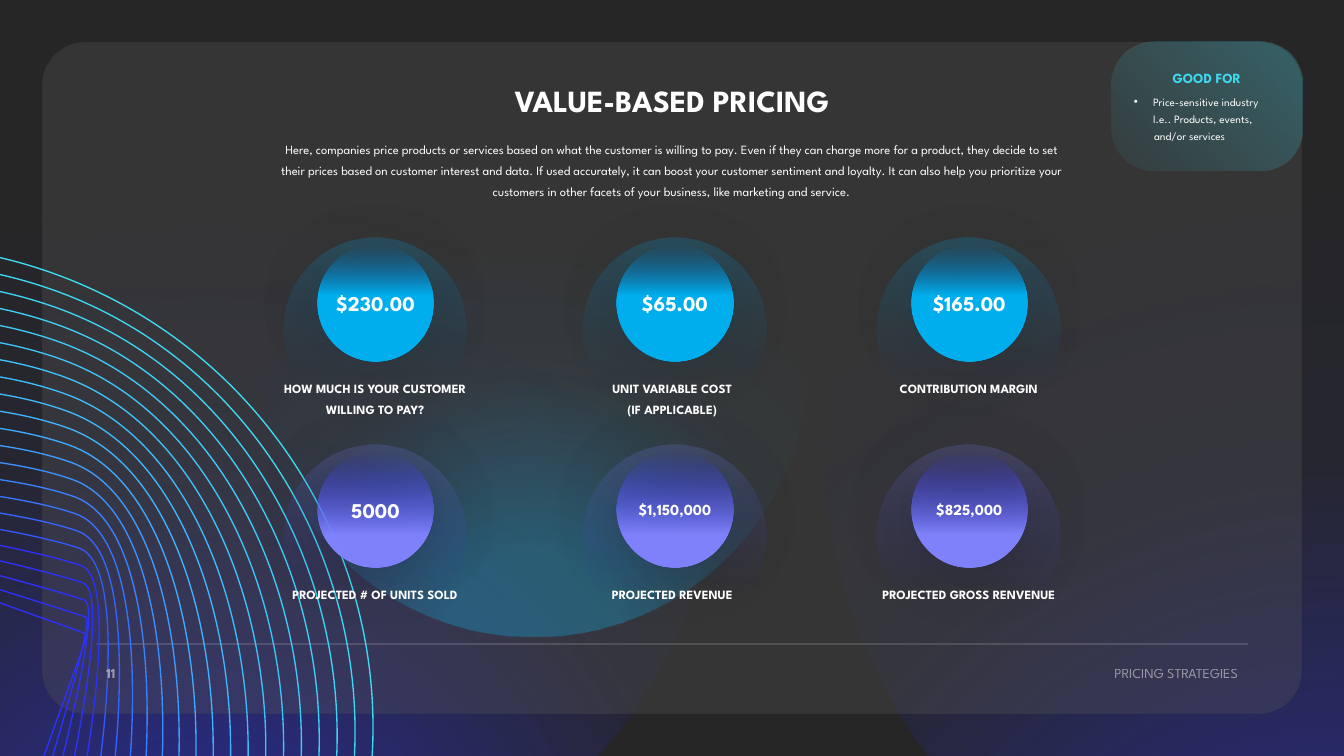
from lxml import etree
from pptx import Presentation
from pptx.dml.color import RGBColor
from pptx.enum.shapes import MSO_CONNECTOR, MSO_SHAPE
from pptx.enum.text import MSO_ANCHOR, MSO_AUTO_SIZE, PP_ALIGN
from pptx.oxml.ns import qn
from pptx.util import Pt

OVAL, ROUNDED = MSO_SHAPE.OVAL, MSO_SHAPE.ROUNDED_RECTANGLE
STRAIGHT = MSO_CONNECTOR.STRAIGHT
MIDDLE, TOP, GROW = MSO_ANCHOR.MIDDLE, MSO_ANCHOR.TOP, MSO_AUTO_SIZE.SHAPE_TO_FIT_TEXT
LEFT, CENTER, RIGHT = PP_ALIGN.LEFT, PP_ALIGN.CENTER, PP_ALIGN.RIGHT


class Theme:
    font = "League Spartan"
    back, panel, white, black = "262626", "595959", "FFFFFF", "000000"
    sky, ocean, violet, indigo, aqua = "00B0F0", "0070C0", "8183FC", "2D31FA", "3EDBF0"
    rings = [indigo] * 5 + (
        "3359FC 3565FC 3774FD 3981FD 3B90FE 3D9CFE 3FAAFF 40B3FE 40B7FD 3FBBFB "
        "3FC1F9 3FC4F8 3FC9F6 3FCEF5 3ED2F3 3ED7F1").split() + [aqua]
    title, value, long_value, label, body, note = 22, 15, 11, 10, 9, 8


def add_node(parent, tag, **attributes):
    return etree.SubElement(parent, qn(tag), {key: str(val) for key, val in attributes.items()})


def percent(number):
    return round(number * 1000)


def fade(element, opacity):
    """Make the first colour inside the element translucent."""
    if opacity < 100:
        add_node(element.find(".//" + qn("a:srgbClr")), "a:alpha", val=percent(opacity))


def turn(point):
    x, y = point
    return -y, x


class SlideBuilder:
    def __init__(self, page, theme):
        self.page, self.theme = page, theme
        page.background.fill.solid()
        page.background.fill.fore_color.rgb = RGBColor.from_string(theme.back)

    def shape(self, kind, left, top, width, height):
        shape = self.page.shapes.add_shape(kind, Pt(left), Pt(top), Pt(width), Pt(height))
        shape.shadow.inherit = False
        shape.line.fill.background()
        return shape

    def gradient(self, shape, stops, angle=None, focus=None):
        """Fill with (position, colour, opacity) stops, linear by angle or radial by focus."""
        shape.fill.background()
        blank = shape._element.spPr.find(qn("a:noFill"))
        fill = etree.Element(qn("a:gradFill"), rotWithShape="1")
        blank.getparent().replace(blank, fill)
        stop_list = add_node(fill, "a:gsLst")
        for position, color, opacity in stops:
            stop = add_node(stop_list, "a:gs", pos=percent(position))
            add_node(stop, "a:srgbClr", val=color)
            fade(stop, opacity)
        if focus is None:
            add_node(fill, "a:lin", ang=angle * 60000, scaled=1)
        else:
            radial = add_node(fill, "a:path", path="circle")
            add_node(radial, "a:fillToRect",
                     **{side: percent(share) for side, share in zip("ltrb", focus)})

    def glow(self, left, top, size, color, rotation=0):
        shape = self.shape(OVAL, left, top, size, size)
        shape.rotation = rotation
        self.gradient(shape, [(23, color, 40), (68, color, 5), (100, color, 0)],
                      focus=(50, 130, 50, -30))

    def shadow(self, shape, opacity):
        effects = shape._element.spPr.find(qn("a:effectLst"))
        outer = add_node(effects, "a:outerShdw", blurRad=Pt(50), dist=0, dir=0,
                         algn="ctr", rotWithShape=0)
        add_node(outer, "a:srgbClr", val=self.theme.black)
        fade(outer, opacity)

    def panel(self, left, top, width, height):
        shape = self.shape(ROUNDED, left, top, width, height)
        shape.adjustments[0] = 0.064
        shape.fill.solid()
        shape.fill.fore_color.rgb = RGBColor.from_string(self.theme.panel)
        fade(shape._element.spPr.find(qn("a:solidFill")), 30)
        shape.line.color.rgb = RGBColor.from_string(self.theme.back)
        shape.line.width = Pt(1)
        fade(shape._element.spPr.find(qn("a:ln")), 10)

    def rule(self, left, right, y):
        line = self.page.shapes.add_connector(STRAIGHT, Pt(left), Pt(y), Pt(right), Pt(y))
        line.line.color.rgb = RGBColor.from_string(self.theme.white)
        line.line.width = Pt(0.5)
        fade(line._element.spPr.find(qn("a:ln")), 40)
        add_node(line._element.spPr, "a:effectLst")

    def ring(self, center, start, bend_out, bend_in, color):
        """Draw a closed outline from one Bezier quarter turned four times about the center."""
        points, quarter = [start], [bend_out, bend_in, turn(start)]
        for _ in range(4):
            points += quarter
            quarter = [turn(point) for point in quarter]
        places = [(Pt(center[0] + x), Pt(center[1] + y)) for x, y in points]
        builder = self.page.shapes.build_freeform(*places[0])
        builder.add_line_segments(places[1:], close=True)
        shape = builder.convert_to_shape()
        lines = list(shape._element.iter(qn("a:lnTo")))
        for first in range(0, len(lines), 3):
            curve = etree.Element(qn("a:cubicBezTo"))
            lines[first].addprevious(curve)
            for line in lines[first:first + 3]:
                curve.append(line[0])
                line.getparent().remove(line)
        shape.shadow.inherit = False
        shape.fill.background()
        shape.line.color.rgb = RGBColor.from_string(color)
        shape.line.width = Pt(0.95)

    def style(self, para, size, color=None, bold=False, align=LEFT, leading=None, opacity=100):
        para.alignment = align
        if leading:
            para.line_spacing = Pt(leading)
        for span in para.runs:
            span.font.name, span.font.size, span.font.bold = self.theme.font, Pt(size), bold
            span.font.color.rgb = RGBColor.from_string(color or self.theme.white)
            fade(span._r, opacity)

    def text(self, text, left, top, width, height, size, wrap=True, anchor=TOP, **style):
        box = self.page.shapes.add_textbox(Pt(left), Pt(top), Pt(width), Pt(height))
        frame = box.text_frame
        frame.word_wrap, frame.auto_size, frame.vertical_anchor = wrap, GROW, anchor
        frame.text = text
        for para in frame.paragraphs:
            self.style(para, size, **style)

    def metric(self, left, top, value, size, light, deep, solid_until, shade):
        """Draw a faded halo with a value disc on it."""
        halo = self.shape(OVAL, left, top, 131, 131)
        self.gradient(halo, [(0, light, 20), (80, deep, 0)], angle=90)
        disc = self.shape(OVAL, left + 24.5, top + 5, 83, 83)
        self.gradient(disc, [(solid_until, light, 100), (100, deep, 0)], angle=270)
        for shape in (halo, disc):
            self.shadow(shape, shade)
        frame = disc.text_frame
        frame.margin_left = frame.margin_right = 0
        frame.vertical_anchor = MIDDLE
        frame.text = value
        self.style(frame.paragraphs[0], size, bold=True, align=CENTER)

    def badge(self, left, top, width, height, heading, bullet, tail):
        shape = self.shape(ROUNDED, left, top, width, height)
        shape.adjustments[0] = 0.332
        aqua = self.theme.aqua
        self.gradient(shape, [(0, aqua, 5), (100, aqua, 28)], focus=(0, 100, 100, 0))
        frame = shape.text_frame
        frame.vertical_anchor = MIDDLE
        frame.text = "\n".join((heading, bullet, tail))
        head, item, rest = frame.paragraphs
        indent = Pt(13.7)
        item_format = item._p.get_or_add_pPr()
        item_format.set("marL", str(indent))
        item_format.set("indent", str(-indent))
        add_node(item_format, "a:buFont", typeface="Arial")
        add_node(item_format, "a:buChar", char="•")
        tabs = add_node(rest._p.get_or_add_pPr(), "a:tabLst")
        add_node(tabs, "a:tab", pos=Pt(14.4), algn="l")
        self.style(head, self.theme.label, color=aqua, bold=True, align=CENTER, leading=12)
        head.space_after = Pt(4)
        for para in (item, rest):
            self.style(para, self.theme.note, leading=12)


def main():
    theme = Theme()
    deck = Presentation()
    deck.slide_width, deck.slide_height = Pt(960), Pt(540)
    slide = SlideBuilder(deck.slides.add_slide(deck.slide_layouts[6]), theme)

    slide.glow(-225.4, -77.8, 745, theme.indigo)
    slide.glow(185.8, 64, 391, theme.sky)
    slide.glow(587.5, -57.6, 745, theme.indigo, rotation=195)
    slide.panel(30, 30, 900, 480)
    slide.rule(69, 891.5, 460)

    inner = [(140.7, -66.4), (140.7, -66.4), (66.4, 140.7)]
    outer = [(115.6, -324.4), (294.8, -260.3), (388.4, -63.7)]
    last = len(theme.rings) - 1
    for index, color in enumerate(theme.rings):
        share = index / last
        quarter = [(x + (far_x - x) * share, y + (far_y - y) * share)
                   for (x, y), (far_x, far_y) in zip(inner, outer)]
        slide.ring((-78.1, 519.5), *quarter, color)

    slide.text("11", 69, 471, 25, 19.4, theme.label, wrap=False, anchor=MIDDLE,
               bold=True, opacity=50)
    slide.text("PRICING STRATEGIES", 778.3, 471, 113, 19.4, theme.label, wrap=False,
               anchor=MIDDLE, align=RIGHT, opacity=50)
    slide.text("VALUE-BASED PRICING", 293, 54.7, 374, 34, theme.title, bold=True, align=CENTER)
    slide.text("Here, companies price products or services based on what the customer is willing "
               "to pay. Even if they can charge more for a product, they decide to set their "
               "prices based on customer interest and data. If used accurately, it can boost your "
               "customer sentiment and loyalty. It can also help you prioritize your customers in "
               "other facets of your business, like marketing and service.",
               188, 93.6, 583, 51, theme.body, align=CENTER, leading=15)

    columns = [(202.3, 193.7), (416.2, 406), (626.4, 617.8)]
    rows = [
        ((theme.sky, theme.ocean, 56, 10), [
            ("$230.00", theme.value, "HOW MUCH IS YOUR CUSTOMER WILLING TO PAY?"),
            ("$65.00", theme.value, "UNIT VARIABLE COST\n(IF APPLICABLE)"),
            ("$165.00", theme.value, "CONTRIBUTION MARGIN")]),
        ((theme.violet, theme.indigo, 28, 20), [
            ("5000", theme.value, "PROJECTED # OF UNITS SOLD"),
            ("$1,150,000", theme.long_value, "PROJECTED REVENUE"),
            ("$825,000", theme.long_value, "PROJECTED GROSS RENVENUE")]),
    ]
    for row, (look, metrics) in enumerate(rows):
        top = 170 + 147.6 * row
        for (halo_left, caption_left), (value, size, caption) in zip(columns, metrics):
            slide.metric(halo_left, top, value, size, *look)
            slide.text(caption, caption_left, top + 94.2, 148.3, 21, theme.body,
                       bold=True, align=CENTER, leading=15)

    slide.badge(794, 30, 136, 91.5, "GOOD FOR",
                "Price-sensitive industry I.e.. Products, events,", "\tand/or services")
    deck.save("out.pptx")


if __name__ == "__main__":
    main()
